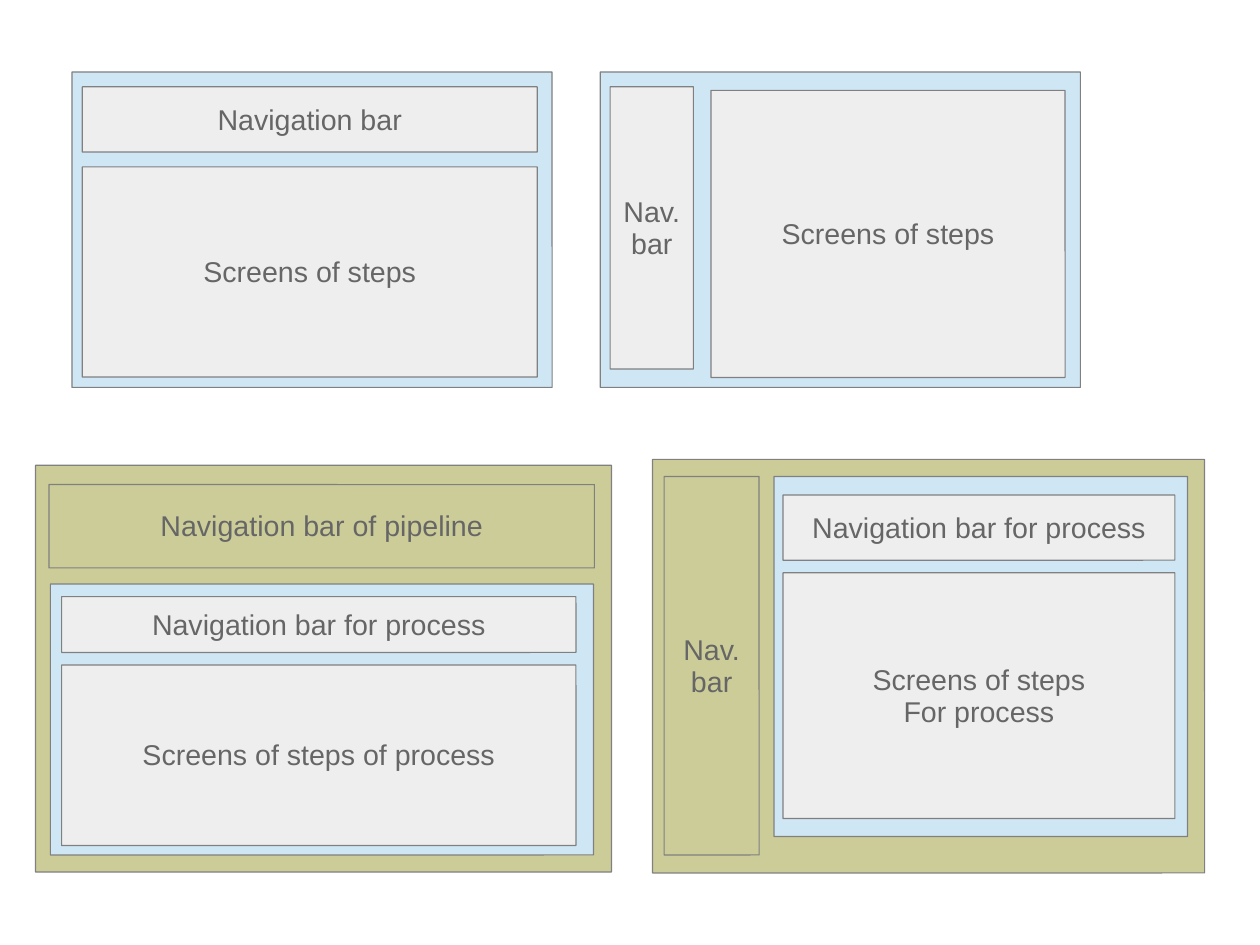
from pptx import Presentation
from pptx.dml.color import RGBColor
from pptx.enum.shapes import MSO_SHAPE
from pptx.enum.text import MSO_ANCHOR, PP_ALIGN
from pptx.util import Cm, Pt

ROUND = MSO_SHAPE.ROUNDED_RECTANGLE
MIDDLE = MSO_ANCHOR.MIDDLE
CENTER = PP_ALIGN.CENTER
BLUE, GRAY, GREEN = "CFE7F5", "EEEEEE", "CCCC99"
EDGE, INK = "808080", "666666"
FRAME = {
    "word_wrap": True,
    "vertical_anchor": MIDDLE,
    "margin_left": Cm(0.25),
    "margin_right": Cm(0.25),
    "margin_top": Cm(0.18),
    "margin_bottom": Cm(0.13),
}
PARA = {"alignment": CENTER, "line_spacing": 0.93}
FONT = {"name": "Arial", "size": Pt(18)}


def paint(color, code):
    color.rgb = RGBColor.from_string(code)


def style(item, values):
    for name, value in values.items():
        setattr(item, name, value)


deck = Presentation()
style(deck, {"slide_width": Cm(28), "slide_height": Cm(21)})
slide = deck.slides.add_slide(deck.slide_layouts[6])

boxes = [
    (1.6, 1.6, 10.67, 7.01, BLUE, ""),
    (1.83, 1.93, 10.11, 1.45, GRAY, "Navigation bar"),
    (1.83, 3.71, 10.11, 4.67, GRAY, "Screens of steps"),
    (13.34, 1.6, 10.67, 7.01, BLUE, ""),
    (13.56, 1.93, 1.85, 6.27, GRAY, "Nav.\nbar"),
    (15.8, 2.01, 7.87, 6.38, GRAY, "Screens of steps"),
    (0.79, 10.34, 12.8, 9.04, GREEN, ""),
    (1.12, 12.98, 12.07, 6.02, BLUE, ""),
    (1.37, 13.26, 11.43, 1.24, GRAY, "Navigation bar for process"),
    (1.37, 14.78, 11.43, 4.01, GRAY, "Screens of steps of process"),
    (14.5, 10.21, 12.27, 9.19, GREEN, ""),
    (14.76, 10.59, 2.11, 8.41, None, "Nav.\nbar"),
    (1.09, 10.77, 12.12, 1.85, None, "Navigation bar of pipeline"),
    (17.2, 10.59, 9.19, 8.0, BLUE, ""),
    (17.4, 11.0, 8.71, 1.45, GRAY, "Navigation bar for process"),
    (17.4, 12.73, 8.71, 5.46, GRAY, "Screens of steps\nFor process"),
]

for left, top, width, height, fill, text in boxes:
    box = slide.shapes.add_shape(ROUND, Cm(left), Cm(top), Cm(width), Cm(height))
    box.adjustments[0] = 0.001
    box.shadow.inherit = False
    if fill:
        box.fill.solid()
        paint(box.fill.fore_color, fill)
    else:
        box.fill.background()
    paint(box.line.color, EDGE)
    box.line.width = Pt(0.75)
    if text:
        frame = box.text_frame
        frame.text = text
        style(frame, FRAME)
        for para in frame.paragraphs:
            style(para, PARA)
            style(para.runs[0].font, FONT)
            paint(para.runs[0].font.color, INK)

deck.save("out.pptx")
